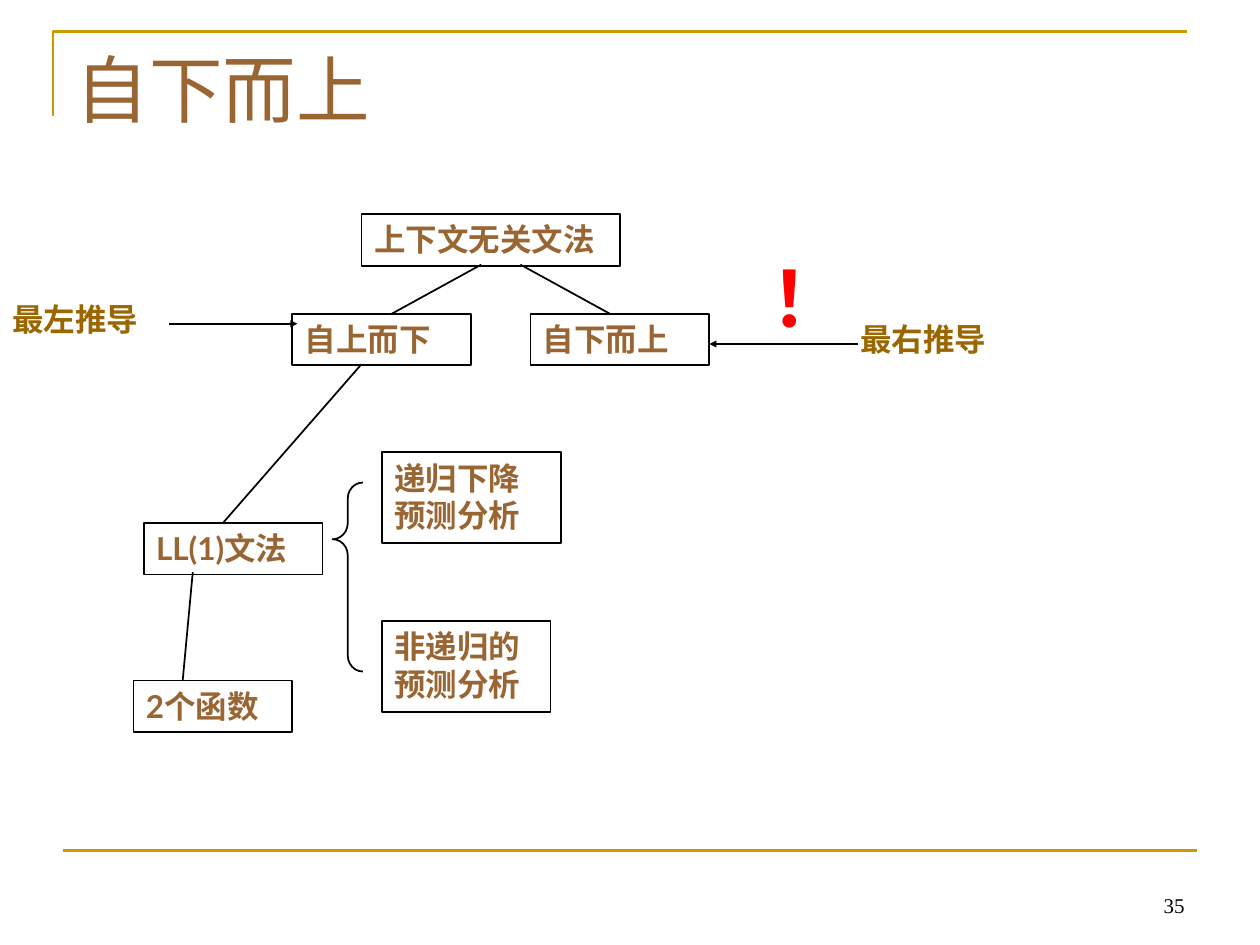
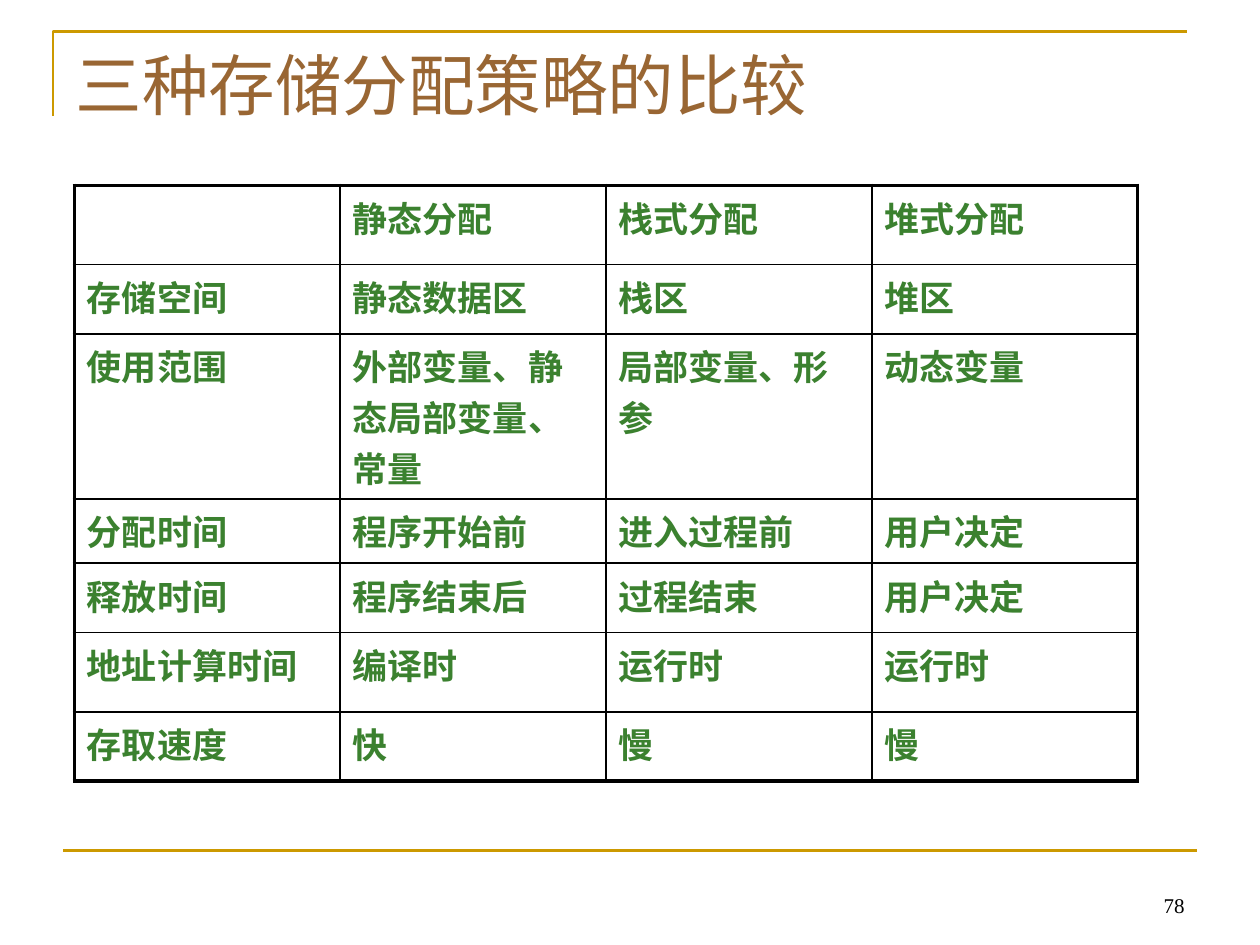
"""Build two compiler-course slides: a parsing overview and a storage comparison."""
from lxml import etree
from pptx import Presentation
from pptx.dml.color import RGBColor
from pptx.enum import shapes, text
from pptx.oxml import ns
from pptx.util import Inches, Pt

GOLD = RGBColor(0xCC, 0x99, 0x00)
BROWN = RGBColor(0x99, 0x66, 0x33)
OCHRE = RGBColor(0x99, 0x66, 0x00)
GREEN = RGBColor(0x3B, 0x81, 0x2F)
RED = RGBColor(0xFF, 0x00, 0x00)
BLACK = RGBColor(0x00, 0x00, 0x00)
SERIF, SANS, LABEL, CJK = "Times New Roman", "Arial", "Lato", "Noto Sans CJK SC"

NODES = [
    ("上下文无关文法", 2.87, 1.7, 2.05, 0.41),
    ("自上而下", 2.32, 2.49, 1.42, 0.41),
    ("自下而上", 4.21, 2.49, 1.42, 0.41),
    ("LL(1)文法", 1.14, 4.15, 1.42, 0.41),
    ("2个函数", 1.06, 5.4, 1.26, 0.41),
    ("递归下降预测分析", 3.03, 3.59, 1.42, 0.72),
    ("非递归的预测分析", 3.03, 4.93, 1.34, 0.72),
]
BRANCHES = [
    (3.82, 2.1, 3.11, 2.49),
    (4.13, 2.1, 4.84, 2.49),
    (2.87, 2.89, 1.77, 4.15),
    (1.53, 4.54, 1.45, 5.4),
]
DERIVATION_ARROWS = [(1.34, 2.57, 2.36, 2.57), (6.81, 2.73, 5.63, 2.73)]
STORAGE = [
    ("", "静态分配", "栈式分配", "堆式分配"),
    ("存储空间", "静态数据区", "栈区", "堆区"),
    ("使用范围", "外部变量、静态局部变量、常量", "局部变量、形参", "动态变量"),
    ("分配时间", "程序开始前", "进入过程前", "用户决定"),
    ("释放时间", "程序结束后", "过程结束", "用户决定"),
    ("地址计算时间", "编译时", "运行时", "运行时"),
    ("存取速度", "快", "慢", "慢"),
]
ROW_HEIGHTS = [0.63, 0.55, 1.31, 0.51, 0.55, 0.63, 0.55]
COLUMN_WIDTH = 2.11


def set_font(p, size, color, name, east_asian, bold=False):
    """Format a paragraph for Latin and East Asian characters."""
    font = p.font
    font.size, font.bold, font.name = Pt(size), bold, name
    font.color.rgb = color
    etree.SubElement(font._element, ns.qn("a:ea"), typeface=east_asian)


def write(tf, content, size, color, name, east_asian, bold=True):
    """Fill a text frame with one formatted paragraph and return it."""
    tf.word_wrap = True
    p = tf.paragraphs[0]
    p.text = content
    set_font(p, size, color, name, east_asian, bold)
    return p


def set_outline(s, color, width):
    """Give a shape a plain outline without fill or shadow."""
    s.shadow.inherit = False
    s.fill.background()
    s.line.color.rgb = color
    s.line.width = Pt(width)


def add_line(slide, x1, y1, x2, y2, color=BLACK, width=1, arrow=False):
    """Draw a straight line, with an arrowhead at its end if asked."""
    s = slide.shapes.add_connector(
        shapes.MSO_CONNECTOR.STRAIGHT, *map(Inches, (x1, y1, x2, y2)))
    s.line.color.rgb = color
    s.line.width = Pt(width)
    if arrow:
        etree.SubElement(s.line._get_or_add_ln(), ns.qn("a:tailEnd"),
                         type="triangle", w="sm", len="sm")
    etree.SubElement(s._element.spPr, ns.qn("a:effectLst"))


def add_node(slide, content, *place):
    """Draw an outlined rectangle with left-aligned text."""
    s = slide.shapes.add_shape(shapes.MSO_SHAPE.RECTANGLE, *map(Inches, place))
    set_outline(s, BLACK, 1)
    tf = s.text_frame
    tf.vertical_anchor = text.MSO_ANCHOR.TOP
    p = write(tf, content, 18, BROWN, LABEL, LABEL)
    p.alignment = text.PP_ALIGN.LEFT


def add_label(slide, content, x, y, w, h, size=18, color=OCHRE):
    """Place bold free-standing text."""
    tf = slide.shapes.add_textbox(*map(Inches, (x, y, w, h))).text_frame
    write(tf, content, size, color, LABEL, LABEL)


def add_brace(slide, *place):
    """Draw the left brace that groups the analysis methods."""
    s = slide.shapes.add_shape(shapes.MSO_SHAPE.LEFT_BRACE, *map(Inches, place))
    set_outline(s, BLACK, 1)
    s.adjustments[0], s.adjustments[1] = 0.53, 0.3


def add_frame(slide):
    """Draw the gold corner and the gold footer rule."""
    builder = slide.shapes.build_freeform(Inches(0.42), Inches(0.92))
    corner = [(Inches(0.42), Inches(0.25)), (Inches(9.42), Inches(0.25))]
    builder.add_line_segments(corner, close=False)
    set_outline(builder.convert_to_shape(), GOLD, 1.5)
    add_line(slide, 0.5, 6.75, 9.5, 6.75, GOLD, 1.5)


def add_slide(prs, title, size, number):
    """Start a slide with the shared frame, title and page number."""
    slide = prs.slides.add_slide(prs.slide_layouts[5])
    add_frame(slide)
    s = slide.shapes.title
    s.left, s.top, s.width, s.height = map(Inches, (0.5, 0.3, 9, 1.25))
    tf = s.text_frame
    tf.auto_size = text.MSO_AUTO_SIZE.NONE
    tf.vertical_anchor = text.MSO_ANCHOR.TOP
    p = write(tf, title, size, BROWN, SERIF, CJK, bold=False)
    p.alignment = text.PP_ALIGN.LEFT
    tf = slide.shapes.add_textbox(*map(Inches, (7.17, 6.83, 2.33, 0.5))).text_frame
    tf.vertical_anchor = text.MSO_ANCHOR.BOTTOM
    p = write(tf, number, 12, BLACK, SERIF, CJK, bold=False)
    p.alignment = text.PP_ALIGN.RIGHT
    return slide


def set_borders(cell, outer):
    """Draw cell borders, thicker on the sides listed in outer."""
    for side in "LRTB":
        width = Pt(2.25 if side in outer else 1)
        ln = etree.SubElement(
            cell._tc.get_or_add_tcPr(), ns.qn("a:ln" + side), w=str(width))
        fill = etree.SubElement(ln, ns.qn("a:solidFill"))
        etree.SubElement(fill, ns.qn("a:srgbClr"), val=str(BLACK))


def add_grid(slide, rows, x, y):
    """Add the comparison table with a thick outer border."""
    last_row, last_col = len(rows) - 1, len(rows[0]) - 1
    table = slide.shapes.add_table(
        len(rows), len(rows[0]), Inches(x), Inches(y),
        Inches(COLUMN_WIDTH * len(rows[0])), Inches(sum(ROW_HEIGHTS))).table
    table.first_row = table.horz_banding = False
    for column in table.columns:
        column.width = Inches(COLUMN_WIDTH)
    for i, row in enumerate(rows):
        table.rows[i].height = Inches(ROW_HEIGHTS[i])
        for j, content in enumerate(row):
            cell = table.cell(i, j)
            edges = {"L": j == 0, "R": j == last_col, "T": i == 0, "B": i == last_row}
            set_borders(cell, [side for side, outer in edges.items() if outer])
            cell.fill.background()
            write(cell.text_frame, content, 20, GREEN, SANS, CJK)


def build_parsing(prs):
    """Build the overview of top-down and bottom-up parsing."""
    slide = add_slide(prs, "自下而上", 42, "35")
    for node in NODES:
        add_node(slide, *node)
    for branch in BRANCHES:
        add_line(slide, *branch)
    for arrow in DERIVATION_ARROWS:
        add_line(slide, *arrow, arrow=True)
    add_brace(slide, 2.64, 3.83, 0.24, 1.5)
    add_label(slide, "最左推导", 0, 2.33, 1.65, 0.4)
    add_label(slide, "最右推导", 6.73, 2.49, 1.65, 0.4)
    add_label(slide, "！", 6.02, 1.94, 0.71, 0.83, 44, RED)


def build_storage(prs):
    """Build the comparison of storage allocation strategies."""
    slide = add_slide(prs, "三种存储分配策略的比较", 38, "78")
    add_grid(slide, STORAGE, 0.59, 1.47)


def main():
    """Create and save the presentation."""
    prs = Presentation()
    prs.slide_width, prs.slide_height = Inches(10), Inches(7.5)
    build_parsing(prs)
    build_storage(prs)
    prs.save("out.pptx")


if __name__ == "__main__":
    main()
